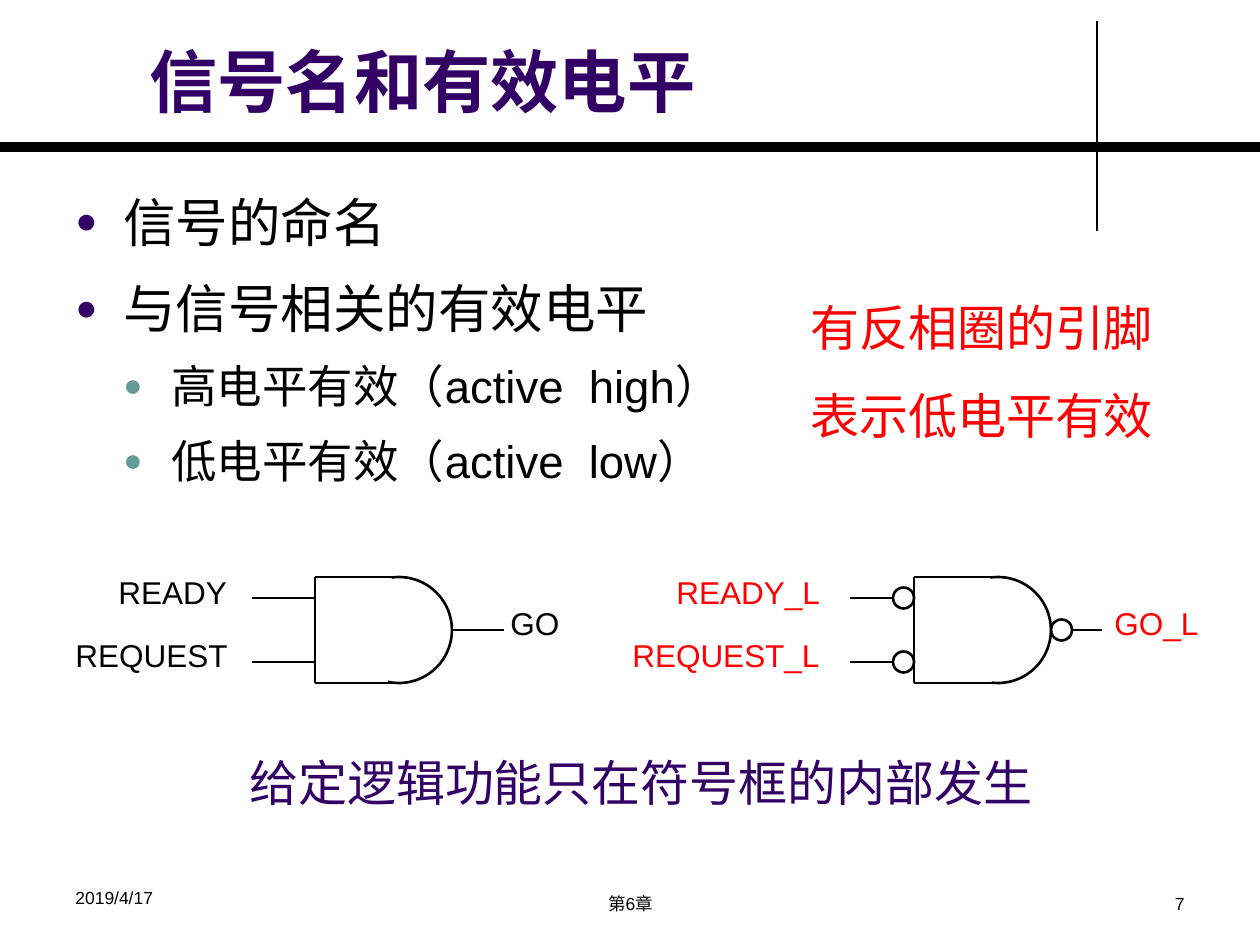
import math
from dataclasses import dataclass
from lxml import etree
from pptx import Presentation, util as u
from pptx.dml.color import RGBColor
from pptx.enum import shapes, text
from pptx.oxml.ns import qn

SCALE = 914400 / 126


@dataclass(frozen=True)
class Theme:
    font: str = "Arial"
    black: str = "000000"
    purple: str = "330066"
    teal: str = "669999"
    red: str = "FF0000"
    title: int = 39
    level_one: int = 30
    level_two: int = 26
    callout: int = 28
    label: int = 18
    footer: int = 10
    hairline: float = 0.75
    wire: float = 1.5
    band: float = 6


THEME = Theme()
ALIGN = text.PP_ALIGN

TITLE = "信号名和有效电平"
BULLETS = [
    (0, "信号的命名"),
    (0, "与信号相关的有效电平"),
    (1, "高电平有效（active  high）"),
    (1, "低电平有效（active  low）"),
]
LEVELS = [(THEME.level_one, THEME.purple), (THEME.level_two, THEME.teal)]
CALLOUT = ["有反相圈的引脚", "表示低电平有效"]
CAPTION = "给定逻辑功能只在符号框的内部发生"
FOOTERS = [
    ("2019/4/17", (63, 881, 294, 43), ALIGN.LEFT),
    ("第6章", (431, 887, 399, 37), ALIGN.CENTER),
    ("7", (903, 887, 294, 37), ALIGN.RIGHT),
]
RULES = [((1097, 21), (1097, 231), THEME.hairline), ((0, 147), (1260, 147), THEME.band)]
GATES = [
    {"left": 315, "bubbles": False, "input_start": 252, "output_end": 504,
     "color": THEME.black, "sweep": (-98, 102),
     "labels": [("READY", 106, 567, 146), ("REQUEST", 63, 630, 192), ("GO", 498, 598, 80)]},
    {"left": 914, "bubbles": True, "input_start": 850, "output_end": 1102,
     "color": THEME.red, "sweep": (-98, 97),
     "labels": [("READY_L", 664, 567, 170), ("REQUEST_L", 620, 630, 214), ("GO_L", 1102, 598, 111)]},
]
GATE_MIDDLE, GATE_RADIUS, GATE_FLAT = 630, 53, 84
INPUT_OFFSET, BUBBLE = 32, 21


def emu(px):
    return u.Emu(round(px * SCALE))


def apply(target, values):
    for name, value in values.items():
        setattr(target, name, value)


def add_text(slide, lines, box, size, color, bold=False, paragraph_format=None, **frame_format):
    frame = slide.shapes.add_textbox(*map(emu, box)).text_frame
    apply(frame, {"word_wrap": True, **frame_format})
    for index, line in enumerate(lines):
        paragraph = frame.paragraphs[0] if index == 0 else frame.add_paragraph()
        apply(paragraph, paragraph_format or {})
        run = paragraph.add_run()
        run.text = line
        apply(run.font, {"name": THEME.font, "size": u.Pt(size), "bold": bold})
        run.font.color.rgb = RGBColor.from_string(color)
    return frame


def add_bullet(paragraph, level, color):
    properties = paragraph._p.get_or_add_pPr()
    properties.set("marL", str(emu(48 * (level + 1))))
    properties.set("indent", str(-emu(48)))
    bullet_color = etree.SubElement(properties, qn("a:buClr"))
    etree.SubElement(bullet_color, qn("a:srgbClr"), val=color)
    etree.SubElement(properties, qn("a:buSzPct"), val="70000")
    etree.SubElement(properties, qn("a:buFont"), typeface=THEME.font)
    etree.SubElement(properties, qn("a:buChar"), char="●")


def style_line(line, width):
    line.color.rgb = RGBColor.from_string(THEME.black)
    line.width = u.Pt(width)


def add_line(slide, start, end, width=THEME.wire):
    connector = slide.shapes.add_connector(
        shapes.MSO_CONNECTOR.STRAIGHT, *map(emu, (*start, *end)))
    style_line(connector.line, width)
    etree.SubElement(connector._element.spPr, qn("a:effectLst"))


def outline(shape):
    shape.shadow.inherit = False
    shape.fill.background()
    style_line(shape.line, THEME.wire)


def add_bubble(slide, left, middle):
    outline(slide.shapes.add_shape(
        shapes.MSO_SHAPE.OVAL, *map(emu, (left, middle - BUBBLE / 2, BUBBLE, BUBBLE))))


def add_gate(slide, gate):
    left, center = gate["left"], gate["left"] + GATE_FLAT
    top, bottom = GATE_MIDDLE - GATE_RADIUS, GATE_MIDDLE + GATE_RADIUS
    first, last = gate["sweep"]
    points = [(emu(center + GATE_RADIUS * math.cos(math.radians(angle))),
               emu(GATE_MIDDLE + GATE_RADIUS * math.sin(math.radians(angle))))
              for angle in [*range(first, last, 4), last]]
    builder = slide.shapes.build_freeform(*points[0])
    builder.add_line_segments(points[1:], close=False)
    outline(builder.convert_to_shape())
    for y in (top, bottom):
        add_line(slide, (center, y), (left, y))
    add_line(slide, (left, top), (left, bottom))

    gap = BUBBLE if gate["bubbles"] else 0
    nose = center + GATE_RADIUS
    for y in (GATE_MIDDLE - INPUT_OFFSET, GATE_MIDDLE + INPUT_OFFSET):
        add_line(slide, (left - gap, y), (gate["input_start"], y))
        if gap:
            add_bubble(slide, left - gap, y)
    add_line(slide, (nose + gap, GATE_MIDDLE), (gate["output_end"], GATE_MIDDLE))
    if gap:
        add_bubble(slide, nose, GATE_MIDDLE)
    for name, x, y, width in gate["labels"]:
        add_text(slide, [name], (x, y, width, 50), THEME.label, gate["color"])


def main():
    presentation = Presentation()
    apply(presentation, {"slide_width": emu(1260), "slide_height": emu(945)})
    slide = presentation.slides.add_slide(presentation.slide_layouts[6])
    for start, end, width in RULES:
        add_line(slide, start, end, width)
    add_text(slide, [TITLE], (137, 25, 951, 102), THEME.title, THEME.purple, True,
             vertical_anchor=text.MSO_ANCHOR.BOTTOM)

    body = add_text(slide, [line for _, line in BULLETS], (63, 171, 1197, 341),
                    THEME.level_one, THEME.black, paragraph_format={"line_spacing": 1.2})
    for paragraph, (level, _) in zip(body.paragraphs, BULLETS):
        size, color = LEVELS[level]
        apply(paragraph, {"level": level, "space_before": u.Pt(size // 5)})
        paragraph.runs[0].font.size = u.Pt(size)
        add_bullet(paragraph, level, color)

    add_text(slide, CALLOUT, (798, 262, 410, 189), THEME.callout, THEME.red,
             paragraph_format={"line_spacing": 1.5})
    add_text(slide, [CAPTION], (237, 746, 818, 72), THEME.callout, THEME.purple)
    for gate in GATES:
        add_gate(slide, gate)
    for line, box, alignment in FOOTERS:
        add_text(slide, [line], box, THEME.footer, THEME.black,
                 paragraph_format={"alignment": alignment})
    presentation.save("out.pptx")


if __name__ == "__main__":
    main()
